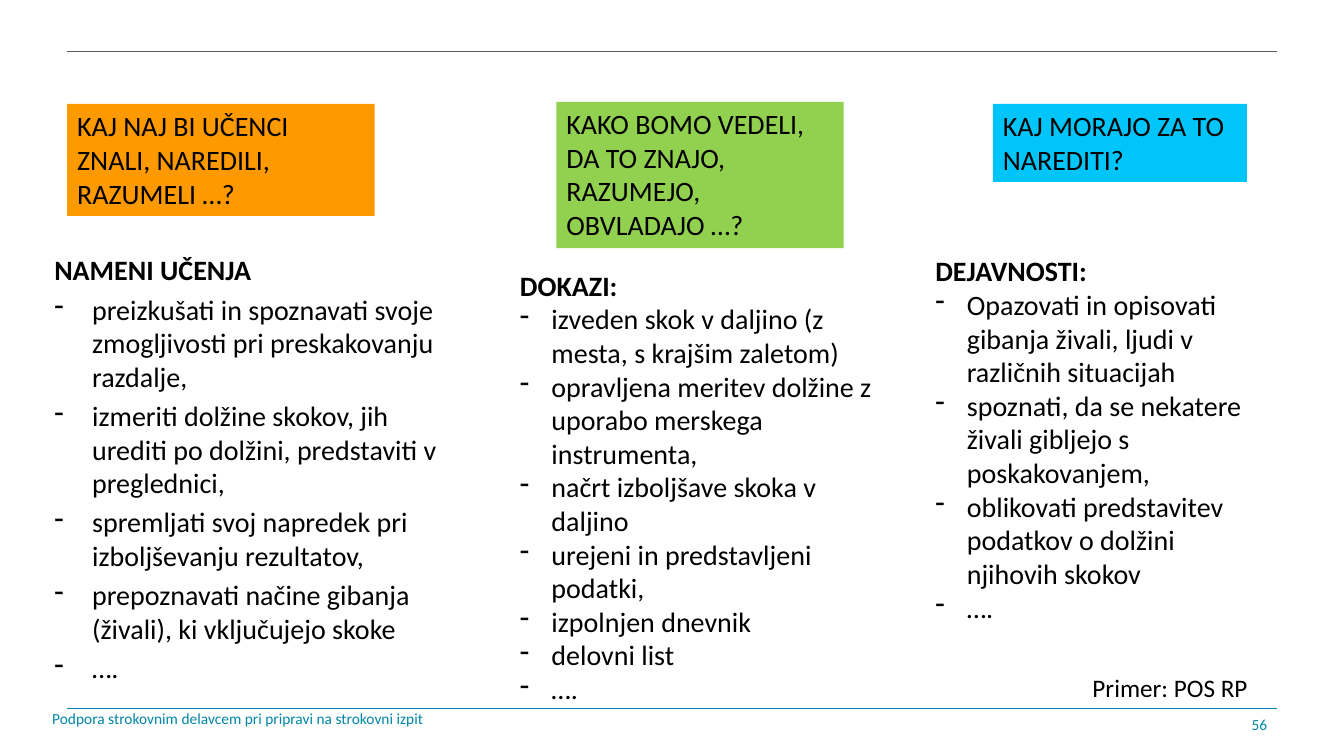
from lxml import etree
from pptx import Presentation
from pptx.dml.color import RGBColor
from pptx.enum import shapes, text
from pptx.oxml import ns
from pptx.util import Pt

BLACK = RGBColor(0x00, 0x00, 0x00)
GREY = RGBColor(0x59, 0x59, 0x59)
TEAL = RGBColor(0x00, 0x86, 0xA8)
ORANGE = RGBColor(0xFF, 0x99, 0x00)
GREEN = RGBColor(0x92, 0xD0, 0x50)
BLUE = RGBColor(0x00, 0xC5, 0xFA)

deck = Presentation()
deck.slide_width, deck.slide_height = Pt(960), Pt(540)
page = deck.slides.add_slide(deck.slide_layouts[6])


def write(box, lines, size=20, color=BLACK, indent=0, gap=0):
    """Fill a box; with an indent, the first line is a bold heading over dashed items."""
    frame = box.text_frame
    frame.word_wrap = True
    frame.vertical_anchor = text.MSO_ANCHOR.TOP
    for index, line in enumerate(lines):
        para = frame.paragraphs[0] if index == 0 else frame.add_paragraph()
        para.text = line
        para.alignment = text.PP_ALIGN.LEFT
        if index:
            para.space_before = Pt(gap)
            props = para._p.get_or_add_pPr()
            props.set("marL", str(Pt(indent)))
            props.set("indent", str(-Pt(indent)))
            etree.SubElement(props, ns.qn("a:buChar")).set("char", "-")
        para.font.name, para.font.size = "Calibri", Pt(size)
        para.font.color.rgb = color
        para.font.bold = bool(indent) and index == 0


# Rules at the top and bottom
for y, color, weight in ((36.7, GREY, 0.5), (506.2, TEAL, 1)):
    rule = page.shapes.add_connector(
        shapes.MSO_CONNECTOR.STRAIGHT, Pt(48), Pt(y), Pt(912), Pt(y))
    rule.line.color.rgb, rule.line.width = color, Pt(weight)
    etree.SubElement(rule._element.spPr, ns.qn("a:effectLst"))

# Coloured questions
questions = (
    (48, 74.2, 219.6, 80, ORANGE, "KAJ NAJ BI UČENCI ZNALI, NAREDILI, RAZUMELI …?"),
    (397.5, 72.7, 205.2, 104.5, GREEN, "KAKO BOMO VEDELI, DA TO ZNAJO, RAZUMEJO, OBVLADAJO …?"),
    (709.2, 74.2, 181.4, 55.7, BLUE, "KAJ MORAJO ZA TO NAREDITI?"),
)
for left, top, width, height, color, question in questions:
    card = page.shapes.add_shape(
        shapes.MSO_SHAPE.RECTANGLE, Pt(left), Pt(top), Pt(width), Pt(height))
    card.shadow.inherit = False
    card.fill.solid()
    card.fill.fore_color.rgb = color
    card.line.fill.background()
    write(card, [question])

# Columns of answers: left, top, width, height, indent, gap, lines
columns = (
    (31.7, 177.1, 308.2, 319.7, 27, 4, [
        "NAMENI UČENJA",
        "preizkušati in spoznavati svoje zmogljivosti pri preskakovanju razdalje,",
        "izmeriti dolžine skokov, jih urediti po dolžini, predstaviti v preglednici,",
        "spremljati svoj napredek pri izboljševanju rezultatov,",
        "prepoznavati načine gibanja (živali), ki vključujejo skoke",
        "….",
    ]),
    (364.3, 188, 267.8, 344.2, 22.5, 0, [
        "DOKAZI:",
        "izveden skok v daljino (z mesta, s krajšim zaletom)",
        "opravljena meritev dolžine z uporabo merskega instrumenta,",
        "načrt izboljšave skoka v daljino",
        "urejeni in predstavljeni podatki,",
        "izpolnjen dnevnik",
        "delovni list",
        "….",
    ]),
    (661, 177.8, 251.3, 317.5, 22.5, 0, [
        "DEJAVNOSTI:",
        "Opazovati in opisovati gibanja živali, ljudi v različnih situacijah",
        "spoznati, da se nekatere živali gibljejo s poskakovanjem,",
        "oblikovati predstavitev podatkov o dolžini njihovih skokov",
        "….",
    ]),
)
for left, top, width, height, indent, gap, lines in columns:
    column = page.shapes.add_textbox(Pt(left), Pt(top), Pt(width), Pt(height))
    write(column, lines, indent=indent, gap=gap)

# Example label, footer and page number
example = page.shapes.add_textbox(Pt(773.3), Pt(476.6), Pt(149), Pt(29))
write(example, ["Primer: POS RP"], size=18)
footer = page.shapes.add_textbox(Pt(30.2), Pt(503.3), Pt(558), Pt(21))
write(footer, ["Podpora strokovnim delavcem pri pripravi na strokovni izpit"], size=11, color=TEAL)
number = page.shapes.add_textbox(Pt(688.3), Pt(507.6), Pt(224), Pt(28.8))
write(number, ["56"], size=11, color=TEAL)
number.text_frame.paragraphs[0].alignment = text.PP_ALIGN.RIGHT

deck.save("out.pptx")
